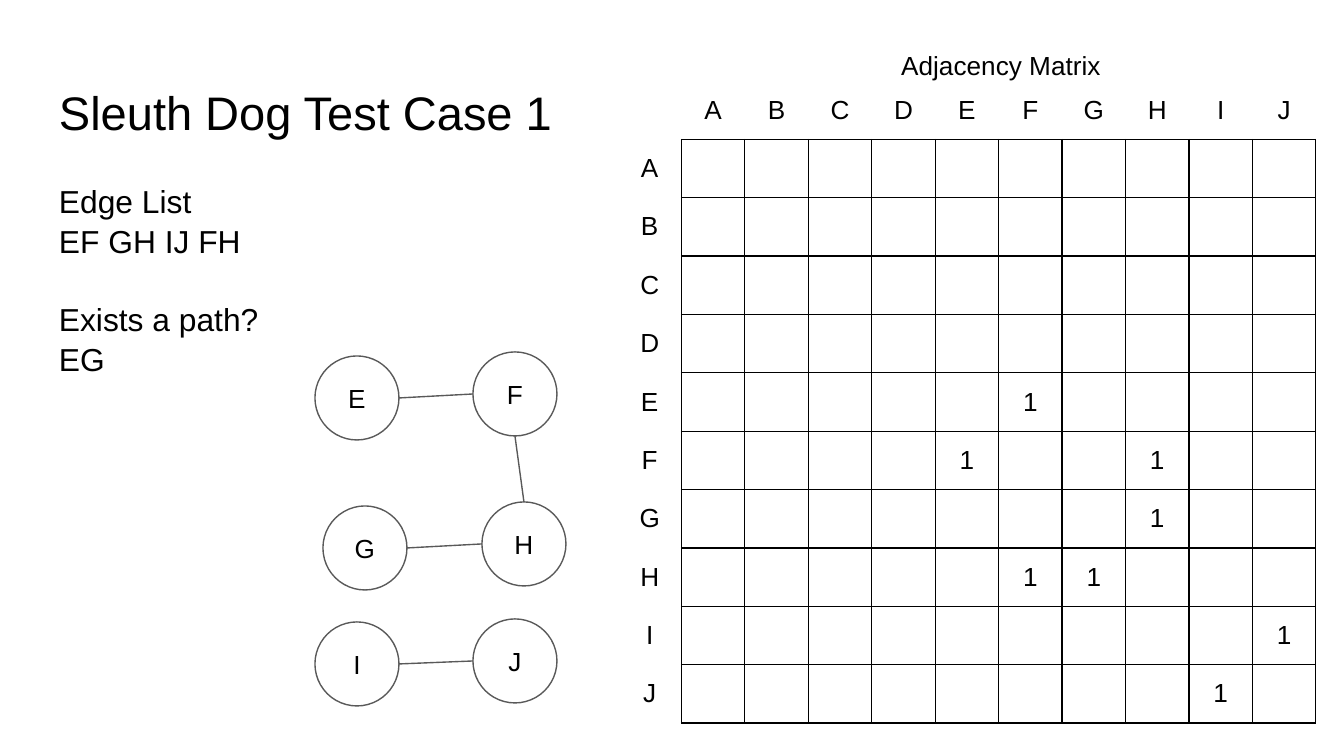
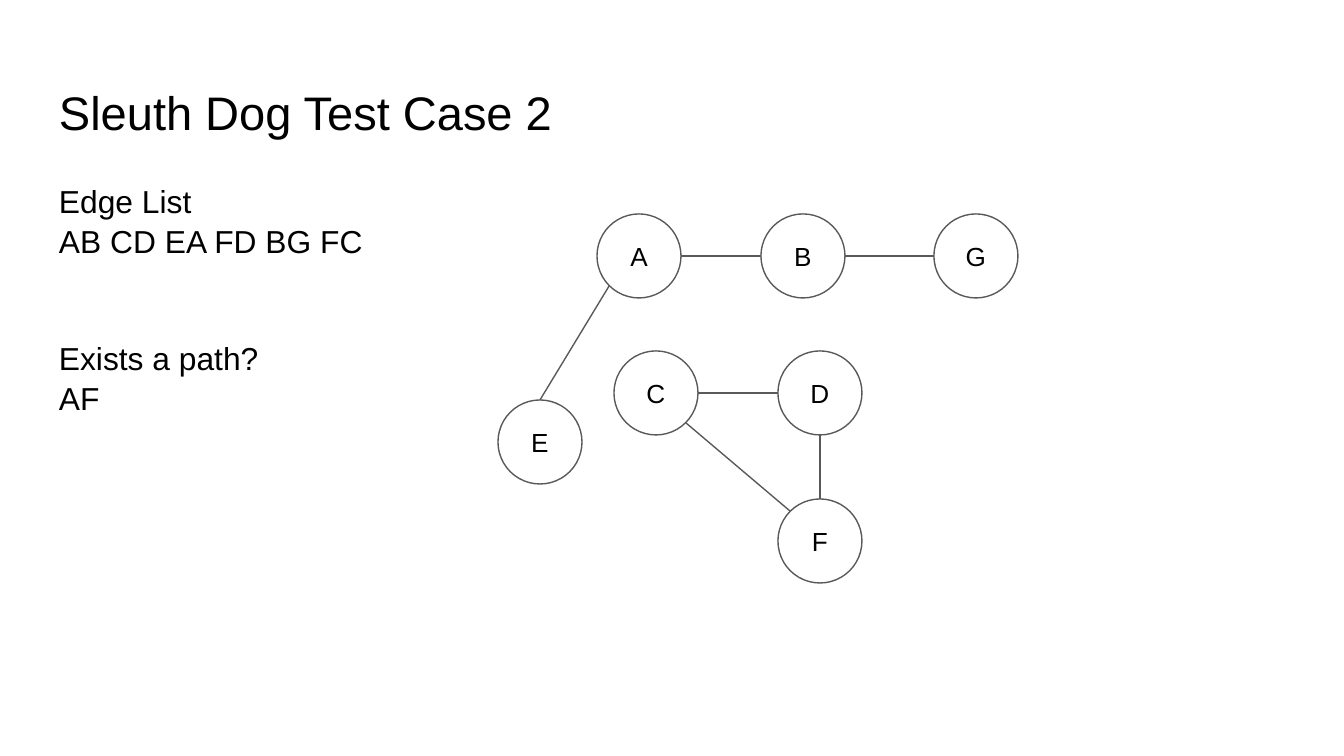
from dataclasses import dataclass
from math import hypot
from typing import Any, NamedTuple

from lxml import etree
from pptx import Presentation
from pptx.dml.color import RGBColor
from pptx.enum.shapes import MSO_CONNECTOR, MSO_SHAPE
from pptx.enum.text import MSO_ANCHOR, PP_ALIGN
from pptx.oxml.ns import qn
from pptx.util import Emu, Pt

ELLIPSE = MSO_SHAPE.OVAL
STRAIGHT = MSO_CONNECTOR.STRAIGHT
MIDDLE = MSO_ANCHOR.MIDDLE
TOP = MSO_ANCHOR.TOP
LEFT = PP_ALIGN.LEFT
CENTER = PP_ALIGN.CENTER

SCALE = 914400 / 134.4
BLACK = "000000"
GREY = "595959"
FONT = "Arial"
RULE = 0.75
INSET = 13
DIAMETER = 84
LETTERS = "ABCDEFGHIJ"

UP = (0, -1)
DOWN = (0, 1)
WEST = (-1, 0)
EAST = (1, 0)
DOWN_LEFT = (-1, 1)
DOWN_RIGHT = (1, 1)
UP_LEFT = (-1, -1)


class Box(NamedTuple):
    x: int
    y: int
    w: int
    h: int


class Edge(NamedTuple):
    name: str
    start: tuple[int, int] = EAST
    end: tuple[int, int] = WEST


@dataclass(frozen=True)
class Style:
    size: float
    align: Any = LEFT
    anchor: Any = TOP
    spacing: float = 1.0


@dataclass(frozen=True)
class Case:
    title: str
    body: Box
    gap: float
    query: str
    nodes: dict[str, tuple[int, int]]
    edges: list[Edge]
    matrix: bool = False


TITLE = Style(25.2, spacing=1.08)
BODY = Style(17, spacing=1.05)
CAPTION = Style(14, CENTER)
LABEL = Style(14, CENTER, MIDDLE)

TITLE_BOX = Box(46, 66, 1253, 84)
CAPTION_BOX = Box(698, 36, 606, 59)
MATRIX_BOX = Box(618, 81, 698, 642)

CASES = [
    Case(
        "Sleuth Dog Test Case 1", Box(46, 167, 243, 219), 20.5, "EG",
        {"E": (315, 356), "F": (473, 352), "I": (315, 622),
         "J": (473, 619), "G": (323, 506), "H": (482, 502)},
        [Edge("EF"), Edge("GH"), Edge("IJ"), Edge("FH", DOWN, UP)],
        matrix=True,
    ),
    Case(
        "Sleuth Dog Test Case 2", Box(46, 167, 441, 258), 41, "AF",
        {"A": (597, 214), "B": (761, 214), "C": (614, 351), "D": (778, 351),
         "E": (498, 400), "F": (778, 499), "G": (934, 214)},
        [Edge("AB"), Edge("CD"), Edge("EA", UP, DOWN_LEFT),
         Edge("FD", UP, DOWN), Edge("BG"), Edge("FC", UP_LEFT, DOWN_RIGHT)],
    ),
]


def px(n: float) -> Emu:
    return Emu(round(n * SCALE))


def rgb(color: str) -> RGBColor:
    return RGBColor.from_string(color)


def apply(obj: Any, values: dict[str, Any]) -> None:
    for name, value in values.items():
        setattr(obj, name, value)


def set_frame(obj: Any, anchor: Any) -> None:
    sides = ("left", "right", "top", "bottom")
    apply(obj, {f"margin_{side}": px(INSET) for side in sides})
    obj.vertical_anchor = anchor


def write(tf: Any, lines: list[str], style: Style) -> None:
    for i, line in enumerate(lines):
        p = tf.paragraphs[0] if i == 0 else tf.add_paragraph()
        apply(p, {"alignment": style.align, "line_spacing": style.spacing})
        r = p.add_run()
        r.text = line
        apply(r.font, {"name": FONT, "size": Pt(style.size)})
        r.font.color.rgb = rgb(BLACK)


def add_text(s: Any, box: Box, lines: list[str], style: Style) -> Any:
    tf = s.shapes.add_textbox(*map(px, box)).text_frame
    tf.word_wrap = True
    set_frame(tf, style.anchor)
    write(tf, lines, style)
    return tf


def set_line(sp: Any) -> None:
    sp.line.color.rgb = rgb(GREY)
    sp.line.width = Pt(RULE)


def add_node(s: Any, name: str, at: tuple[int, int]) -> None:
    sp = s.shapes.add_shape(ELLIPSE, *map(px, (*at, DIAMETER, DIAMETER)))
    sp.shadow.inherit = False
    sp.fill.background()
    set_line(sp)
    set_frame(sp.text_frame, LABEL.anchor)
    write(sp.text_frame, [name], LABEL)


def site(at: tuple[int, int], way: tuple[int, int]) -> list[Emu]:
    radius = DIAMETER / 2
    return [px(a + radius + radius * d / hypot(*way)) for a, d in zip(at, way)]


def add_edge(s: Any, edge: Edge, nodes: dict[str, tuple[int, int]]) -> None:
    first, last = edge.name
    sp = s.shapes.add_connector(
        STRAIGHT, *site(nodes[first], edge.start), *site(nodes[last], edge.end)
    )
    set_line(sp)
    etree.SubElement(sp._element.spPr, qn("a:effectLst"))


def set_borders(cell: Any, shown: str) -> None:
    tc_pr = cell._tc.get_or_add_tcPr()
    for i, side in enumerate("LRTB"):
        ln = etree.Element(qn(f"a:ln{side}"), w=str(Pt(RULE)))
        if side in shown:
            fill = etree.SubElement(ln, qn("a:solidFill"))
            etree.SubElement(fill, qn("a:srgbClr"), val=BLACK)
        else:
            etree.SubElement(ln, qn("a:noFill"))
        tc_pr.insert(i, ln)


def add_matrix(s: Any, edges: list[Edge]) -> None:
    joined = {pair for e in edges for pair in (e.name, e.name[::-1])}
    heads = ["", *LETTERS]
    size = len(heads)
    tbl = s.shapes.add_table(size, size, *map(px, MATRIX_BOX)).table
    apply(tbl, {"first_row": False, "horz_banding": False})
    for i, row in enumerate(heads):
        for j, col in enumerate(heads):
            cell = tbl.cell(i, j)
            cell.fill.background()
            set_frame(cell, LABEL.anchor)
            if row and col:
                text = "1" if row + col in joined else ""
                borders = "LRTB"
            else:
                text = row or col
                borders = "R" if row else "B" if col else ""
            set_borders(cell, borders)
            if text:
                write(cell.text_frame, [text], LABEL)
            else:
                p = cell.text_frame.paragraphs[0]
                etree.SubElement(
                    p._p, qn("a:endParaRPr"), sz=str(LABEL.size * 100)
                )


def add_case(prs: Any, case: Case) -> None:
    s = prs.slides.add_slide(prs.slide_layouts[6])
    add_text(s, TITLE_BOX, [case.title], TITLE)
    edge_list = " ".join(e.name for e in case.edges)
    lines = ["Edge List", edge_list, "Exists a path?", case.query]
    tf = add_text(s, case.body, lines, BODY)
    tf.paragraphs[2].space_before = Pt(case.gap)
    for name, at in case.nodes.items():
        add_node(s, name, at)
    for edge in case.edges:
        add_edge(s, edge, case.nodes)
    if case.matrix:
        add_matrix(s, case.edges)
        add_text(s, CAPTION_BOX, ["Adjacency Matrix"], CAPTION)


prs = Presentation()
apply(prs, {"slide_width": px(1344), "slide_height": px(756)})
for case in CASES:
    add_case(prs, case)
prs.save("out.pptx")
